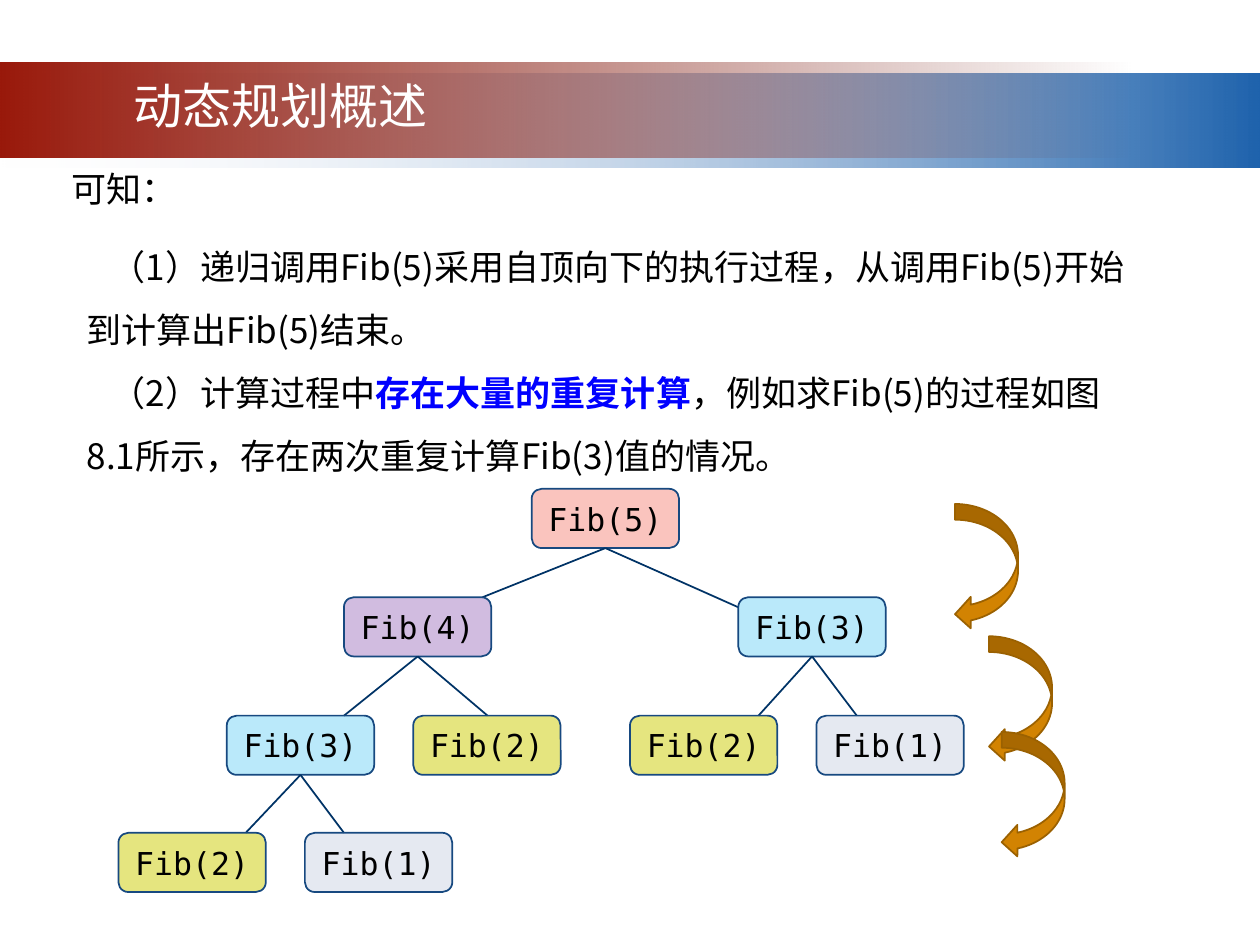
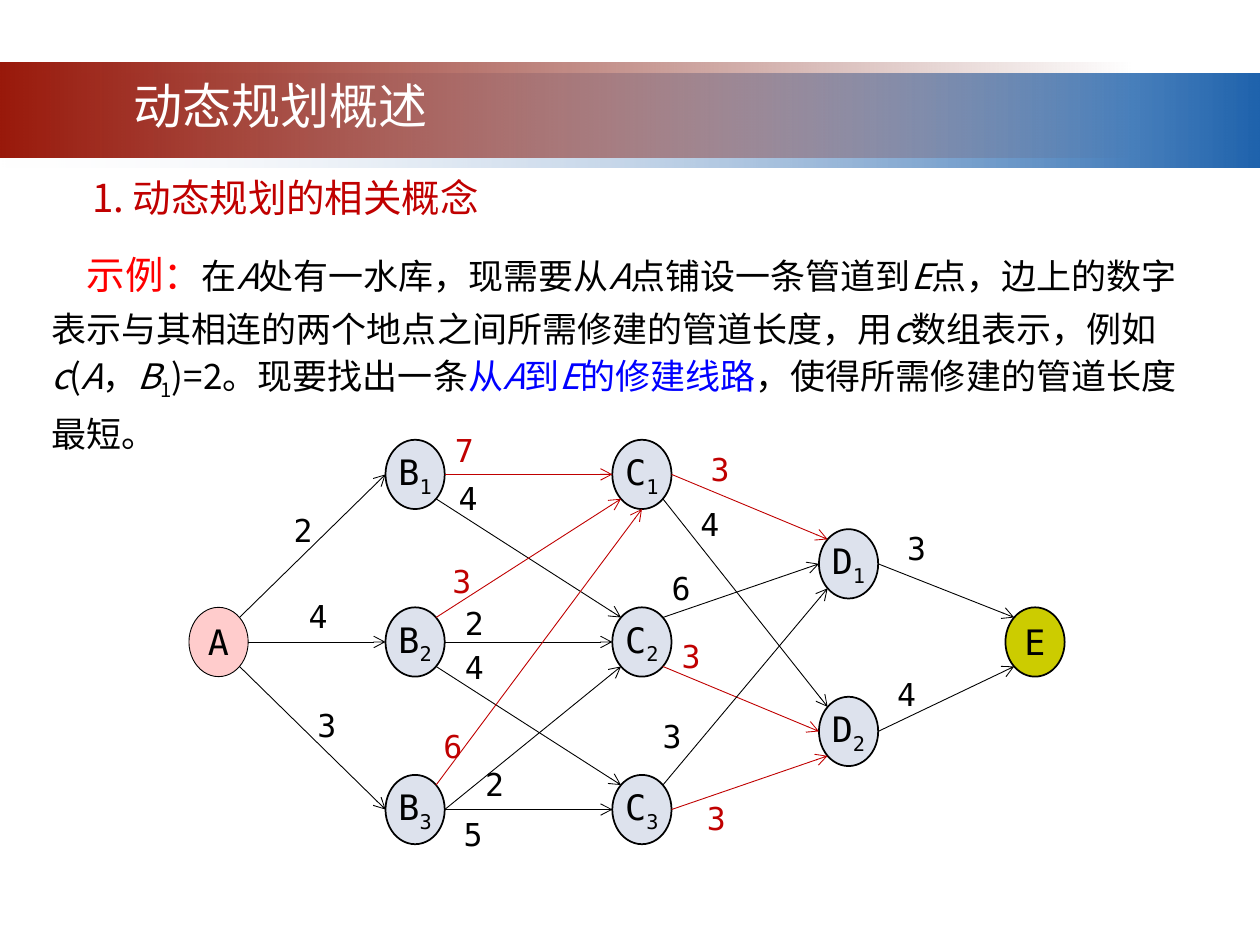
from lxml import etree
from pptx import Presentation
from pptx import util as u
from pptx.dml.color import RGBColor
from pptx.enum import shapes, text
from pptx.oxml.ns import qn

PX = 9144  # 100 px to the inch
CJK, MONO = "Noto Sans CJK SC", "DejaVu Sans Mono"
CENTER = text.PP_ALIGN.CENTER
COLORS = {
    "black": "000000", "white": "FFFFFF", "blue": "0000FF", "red": "FF0000",
    "crimson": "C00000", "navy": "003366", "outline": "174980",
    "salmon": "FAC4BE", "purple": "7030A0", "sky": "00B0F0",
    "olive": "CCCC00", "mist": "CDD4E5", "arrow": "D28302",
    "arrow_edge": "9B6101", "pink": "FFCCCC", "node": "DDE2ED",
    "band_pale": "F1F2F7", "band_blue": "1F63AD",
    "band_red": "99190B", "band_dark": "6D1208",
}
RGB = {name: RGBColor.from_string(value) for name, value in COLORS.items()}


def add_box(s, box, paras=(), size=20, color="black", font=CJK, align=None,
            spacing=None, indent=0, inset=None, kind=None, fill=None,
            opacity=100, line=None, width=1):
    """Add a text box, or a preset shape if kind is given.

    Each paragraph is a list of runs (text, font changes)."""
    x, y, w, h = (n * PX for n in box)
    if kind is None:
        sp = s.shapes.add_textbox(x, y, w, h)
    else:
        sp = s.shapes.add_shape(kind, x, y, w, h)
        sp.shadow.inherit = False
        if fill:
            sp.fill.solid()
            sp.fill.fore_color.rgb = RGB[fill]
            if opacity < 100:
                clr = next(sp._element.spPr.iter(qn("a:srgbClr")))
                etree.SubElement(clr, qn("a:alpha"), val=str(opacity * 1000))
        if line:
            sp.line.color.rgb = RGB[line]
            sp.line.width = u.Pt(width)
        else:
            sp.line.fill.background()
    tf = sp.text_frame
    tf.word_wrap = True
    if kind is not None:
        tf.vertical_anchor = text.MSO_ANCHOR.MIDDLE
    if inset is not None:
        tf.margin_left = tf.margin_right = inset * PX
        tf.margin_top = tf.margin_bottom = inset * PX
    for i, runs in enumerate(paras):
        p = tf.add_paragraph() if i else tf.paragraphs[0]
        p.alignment = align
        p.line_spacing = spacing
        if indent:
            p._p.get_or_add_pPr().set("indent", str(indent * PX))
        p.font.size = u.Pt(size)
        p.font.color.rgb = RGB[color]
        p.font.name = font
        etree.SubElement(p._p.pPr.find(qn("a:defRPr")), qn("a:ea"), typeface=CJK)
        for words, changes in runs:
            r = p.add_run()
            r.text = words
            for key, value in changes.items():
                if key == "color":
                    r.font.color.rgb = RGB[value]
                elif key == "baseline":
                    r.font._element.set("baseline", str(value * 1000))
                else:
                    setattr(r.font, key, value)
    return sp


def add_line(s, start, end, color, width, arrow=False):
    cx = s.shapes.add_connector(shapes.MSO_CONNECTOR.STRAIGHT,
                                *(round(n * PX) for n in (*start, *end)))
    cx.line.color.rgb = RGB[color]
    cx.line.width = u.Pt(width)
    if arrow:
        etree.SubElement(cx.line._get_or_add_ln(), qn("a:tailEnd"), type="arrow")
    etree.SubElement(cx._element.spPr, qn("a:effectLst"))
    return cx


prs = Presentation()
prs.slide_width, prs.slide_height = 1000 * PX, 750 * PX
SHAPE = shapes.MSO_SHAPE

# Bands and title on both slides
bands = [
    ((0, 58, 1000, 75), ("band_pale", 0), ("band_blue", 100)),
    ((0, 50, 900, 75), ("band_red", 100), ("band_dark", 0)),
]
for _ in range(2):
    s = prs.slides.add_slide(prs.slide_layouts[6])
    for box, *stops in bands:
        sp = add_box(s, box, kind=SHAPE.RECTANGLE)
        sp.fill.gradient()
        sp.fill.gradient_angle = 0
        for stop, (color, opacity) in zip(sp.fill.gradient_stops, stops):
            stop.color.rgb = RGB[color]
            clr = next(stop._gs.iter(qn("a:srgbClr")))
            etree.SubElement(clr, qn("a:alpha"), val=str(opacity * 1000))
    add_box(s, (31, 55, 383, 57), [[("动态规划概述", {})]], 28, "white", align=CENTER)
tree_slide, graph_slide = prs.slides

# Slide 1: the call tree of Fib(5)
s = tree_slide
add_box(s, (47, 128, 578, 44), [[("可知：", {})]])
add_box(s, (59, 173, 844, 206), [
    [("（1）递归调用Fib(5)采用自顶向下的执行过程，从调用Fib(5)开始到计算出Fib(5)结束。", {})],
    [("（2）计算过程中", {}),
     ("存在大量的重复计算", {"color": "blue", "bold": True}),
     ("，例如求Fib(5)的过程如图8.1所示，存在两次重复计算Fib(3)值的情况。", {})],
], spacing=1.5, indent=19)

call_fills = {5: ("salmon", 100), 4: ("purple", 32), 3: ("sky", 27),
              2: ("olive", 50), 1: ("mist", 50)}
# n, left, top, and where the lines to the two called nodes end
calls = [
    (5, 422, 388, [(383, 474), (586, 482)]),
    (4, 273, 474, [(273, 568), (387, 568)]),
    (3, 586, 474, [(602, 568), (680, 568)]),
    (3, 180, 568, [(195, 661), (273, 661)]),
    (2, 328, 568, []),
    (2, 500, 568, []),
    (1, 648, 568, []),
    (2, 94, 661, []),
    (1, 242, 661, []),
]
for n, x, y, ends in calls:
    fill, opacity = call_fills[n]
    sp = add_box(s, (x, y, 117, 47), [[(f"Fib({n})", {})]], 18, font=MONO,
                 align=CENTER, kind=SHAPE.ROUNDED_RECTANGLE, fill=fill,
                 opacity=opacity, line="outline")
    for end in ends:
        cx = add_line(s, (x + 58, y + 47), end, "navy", 1)
        cx.begin_connect(sp, 2)

for x, y in [(758, 400), (785, 505), (795, 581)]:
    add_box(s, (x, y, 50, 100), kind=SHAPE.CURVED_LEFT_ARROW, fill="arrow",
            line="arrow_edge")

# Slide 2: the pipeline graph
s = graph_slide
add_box(s, (31, 133, 391, 47), [[("1. 动态规划的相关概念", {})]], 22, "crimson",
        align=CENTER)

NODE_W, NODE_H = 47, 55
nodes = {"A": (150, 482), "E": (798, 482)}
for letter, x, top, count in [("B", 306, 349, 3), ("C", 486, 349, 3), ("D", 650, 420, 2)]:
    for i in range(count):
        nodes[f"{letter}{i + 1}"] = (x, top + 133 * i)
end_fills = {"A": "pink", "E": "olive"}
for name, (x, y) in nodes.items():
    runs = [(name[0], {})]
    if name[1:]:
        runs.append((name[1:], {"baseline": -25}))
    add_box(s, (x, y, NODE_W, NODE_H), [runs], font=MONO, align=CENTER, inset=0,
            kind=SHAPE.OVAL, fill=end_fills.get(name, "node"), line="black",
            width=0.5 if name == "A" else 1)

# Points on a node's rim, as shares of its half width and half height
D = 0.707
rim = {"right": (1, 0), "left": (-1, 0), "bottom": (0, 1), "up_right": (D, -D),
       "down_right": (D, D), "up_left": (-D, -D), "down_left": (-D, D)}
# start, rim point, end, rim point, length, label left and top, colour
pipes = [
    ("A", "up_right", "B1", "left", 2, 233, 406, "black"),
    ("A", "right", "B2", "left", 4, 245, 474, "black"),
    ("A", "down_right", "B3", "left", 3, 252, 560, "black"),
    ("B1", "right", "C1", "left", 7, 361, 342, "crimson"),
    ("B1", "down_right", "C2", "up_left", 4, 364, 380, "black"),
    ("B2", "up_right", "C1", "down_left", 3, 359, 446, "crimson"),
    ("B2", "right", "C2", "left", 2, 369, 479, "black"),
    ("B2", "down_right", "C3", "up_left", 4, 369, 514, "black"),
    ("B3", "up_right", "C1", "bottom", 6, 352, 577, "crimson"),
    ("B3", "right", "C2", "down_left", 2, 385, 607, "black"),
    ("B3", "right", "C3", "left", 5, 368, 647, "black"),
    ("C1", "right", "D1", "up_left", 3, 564, 357, "crimson"),
    ("C1", "down_right", "D2", "up_left", 4, 556, 401, "black"),
    ("C2", "up_right", "D1", "left", 6, 533, 452, "black"),
    ("C2", "down_right", "D2", "left", 3, 541, 506, "crimson"),
    ("C3", "up_right", "D1", "down_left", 3, 526, 569, "black"),
    ("C3", "right", "D2", "down_left", 3, 561, 634, "crimson"),
    ("D1", "right", "E", "up_left", 3, 720, 420, "black"),
    ("D2", "right", "E", "down_left", 4, 712, 536, "black"),
]
for start, start_side, end, end_side, length, x, y, color in pipes:
    points = []
    for name, side in [(start, start_side), (end, end_side)]:
        left, top = nodes[name]
        dx, dy = rim[side]
        points.append((left + NODE_W / 2 * (1 + dx), top + NODE_H / 2 * (1 + dy)))
    add_line(s, *points, color, 0.5, arrow=True)
    add_box(s, (x, y, 23, 30), [[(str(length), {})]], 18, color, MONO, inset=0)

italic, blue = {"italic": True}, {"color": "blue"}
add_box(s, (31, 189, 922, 178), [[
    ("示例：", {"size": u.Pt(22), "color": "red", "name": MONO}),
    ("在", {}), ("A", italic), ("处有一水库，现需要从", {}), ("A", italic),
    ("点铺设一条管道到", {}), ("E", italic),
    ("点，边上的数字表示与其相连的两个地点之间所需修建的管道长度，用", {}),
    ("c", italic), ("数组表示，例如", {}), ("c", italic), ("(", {}),
    ("A", italic), ("，", {}), ("B", italic), ("1", {"baseline": -25}),
    (")=2。现要找出一条", {}), ("从", blue), ("A", italic | blue), ("到", blue),
    ("E", italic | blue), ("的修建线路", blue),
    ("，使得所需修建的管道长度最短。", {}),
]], spacing=u.Pt(30), indent=28)

prs.save("out.pptx")
